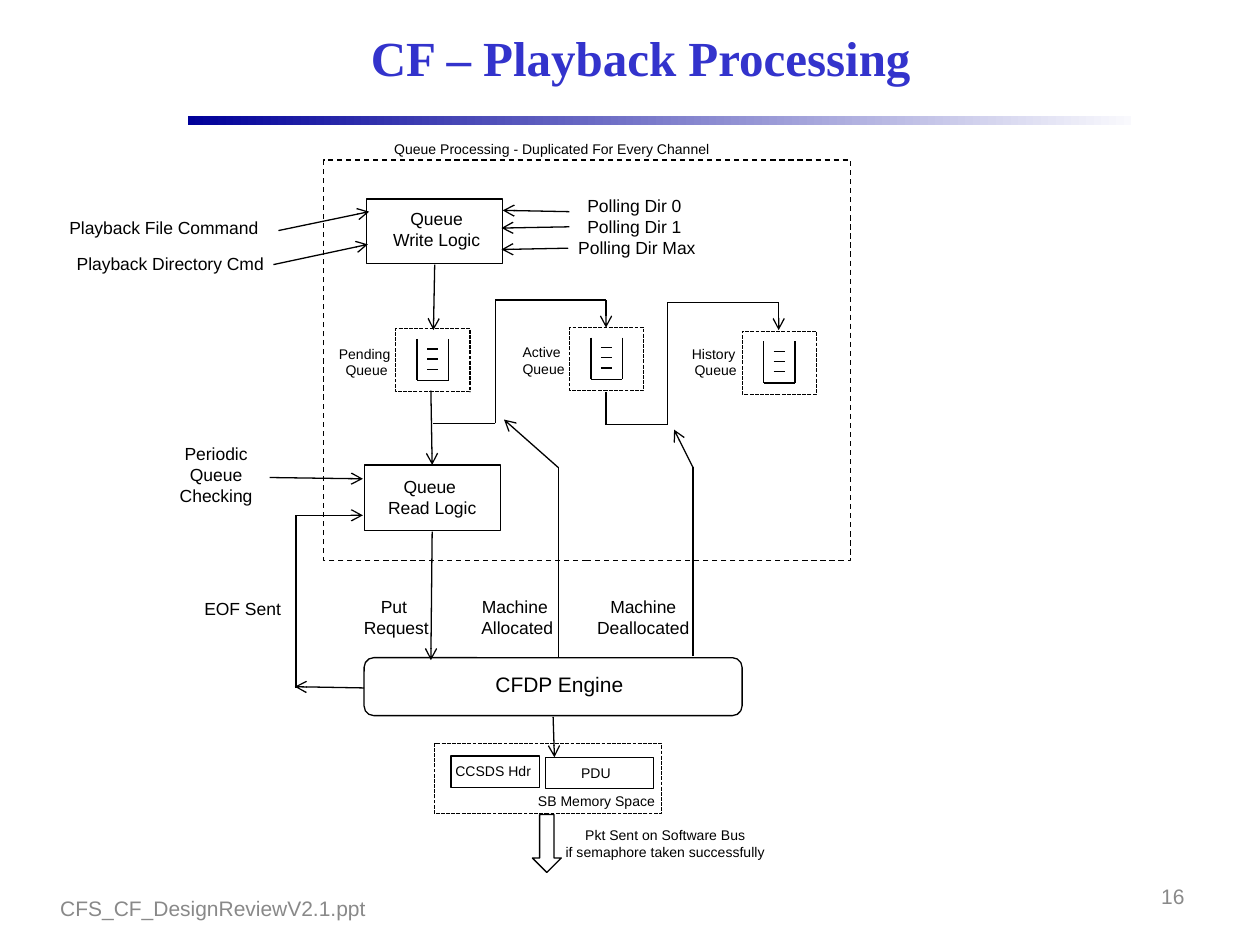
from itertools import pairwise

from pptx import Presentation
from pptx.dml.color import RGBColor
from pptx.enum.dml import MSO_LINE
from pptx.enum.shapes import MSO_CONNECTOR, MSO_SHAPE
from pptx.enum.text import MSO_ANCHOR, MSO_AUTO_SIZE, PP_ALIGN
from pptx.oxml.ns import qn
from pptx.util import Inches, Pt
from lxml.etree import SubElement

BLACK = RGBColor(0x00, 0x00, 0x00)
GREY = RGBColor(0x89, 0x89, 0x89)
TITLE_BLUE = RGBColor(0x33, 0x33, 0xCC)
BAR_DARK = RGBColor(0x00, 0x00, 0x99)
BAR_LIGHT = RGBColor(0xF9, 0xF9, 0xFD)


class Diagram:
    """Holds the drawing style and the current page."""

    font_name = "Arial"
    line_width = Pt(0.75)
    label_inset = Inches(0.04)

    def __init__(self, page):
        self.page = page

    def style(self, para, size, color, align, name=font_name, bold=False):
        para.alignment = align
        para.font.name = name
        para.font.size = Pt(size)
        para.font.bold = bold
        para.font.color.rgb = color

    def title(self, text, left, top, width, height):
        box = self.page.shapes.title
        box.left, box.top = Inches(left), Inches(top)
        box.width, box.height = Inches(width), Inches(height)
        box.text_frame.text = text
        box.text_frame.vertical_anchor = MSO_ANCHOR.MIDDLE
        self.style(box.text_frame.paragraphs[0], 28, TITLE_BLUE,
                   PP_ALIGN.CENTER, "Times New Roman", True)

    def gradient_bar(self, left, top, width, height):
        bar = self.shape(MSO_SHAPE.RECTANGLE, left, top, width, height)
        bar.line.fill.background()
        bar.fill.gradient()
        bar.fill.gradient_angle = 180
        for stop, color in zip(bar.fill.gradient_stops, (BAR_LIGHT, BAR_DARK)):
            stop.color.rgb = color

    def shape(self, kind, left, top, width, height, dash=None):
        outline = self.page.shapes.add_shape(
            kind, Inches(left), Inches(top), Inches(width), Inches(height))
        outline.shadow.inherit = False
        outline.fill.background()
        outline.line.color.rgb = BLACK
        outline.line.width = self.line_width
        if dash:
            outline.line.dash_style = dash
        return outline

    def text(self, text, left, top, width, height, size=10, color=BLACK,
             align=PP_ALIGN.CENTER, wrap=False, anchor=MSO_ANCHOR.TOP):
        box = self.page.shapes.add_textbox(
            Inches(left), Inches(top), Inches(width), Inches(height))
        frame = box.text_frame
        frame.text = text
        frame.word_wrap = wrap
        frame.vertical_anchor = anchor
        if align == PP_ALIGN.CENTER:
            # Narrow side insets leave each label room for its longest line
            frame.margin_left = frame.margin_right = self.label_inset
        for para in frame.paragraphs:
            self.style(para, size, color, align)
        frame.auto_size = MSO_AUTO_SIZE.NONE

    def line(self, start, end, arrow=False):
        connector = self.page.shapes.add_connector(
            MSO_CONNECTOR.STRAIGHT, *map(Inches, (*start, *end)))
        connector.line.color.rgb = BLACK
        connector.line.width = self.line_width
        properties = connector.element.spPr
        if arrow:
            SubElement(properties.find(qn("a:ln")), qn("a:tailEnd"), type="arrow")
        SubElement(properties, qn("a:effectLst"))

    def route(self, *points):
        """Joins the points with lines and ends in an arrowhead."""
        for start, end in pairwise(points):
            self.line(start, end, arrow=end == points[-1])

    def queue(self, left, top):
        """A dashed frame around an open bin with three entries."""
        self.shape(MSO_SHAPE.RECTANGLE, left, top, 0.59, 0.5, MSO_LINE.SQUARE_DOT)
        rim, floor = top + 0.08, top + 0.41
        sides = (left + 0.17, left + 0.42)
        for side in sides:
            self.line((side, rim), (side, floor))
        self.line((sides[0], floor), (sides[1], floor))
        for row in range(3):
            level = top + 0.16 + row * 0.08
            self.line((left + 0.25, level), (left + 0.34, level))


def main():
    deck = Presentation()
    deck.slide_width, deck.slide_height = Inches(10), Inches(7.5)
    diagram = Diagram(deck.slides.add_slide(deck.slide_layouts[5]))

    # Heading
    diagram.gradient_bar(1.49, 0.92, 7.49, 0.07)
    diagram.title("CF – Playback Processing", 1.5, 0.08, 7.17, 0.75)

    # Solid and dashed blocks
    for kind, left, top, width, height, dash in (
        (MSO_SHAPE.RECTANGLE, 2.57, 1.27, 4.18, 3.18, MSO_LINE.DASH),
        (MSO_SHAPE.RECTANGLE, 2.91, 1.58, 1.08, 0.51, None),
        (MSO_SHAPE.RECTANGLE, 2.89, 3.69, 1.08, 0.52, None),
        (MSO_SHAPE.ROUNDED_RECTANGLE, 2.89, 5.22, 3, 0.46, None),
        (MSO_SHAPE.RECTANGLE, 3.45, 5.9, 1.8, 0.56, MSO_LINE.SQUARE_DOT),
        (MSO_SHAPE.RECTANGLE, 3.58, 6, 0.7, 0.25, None),
        (MSO_SHAPE.RECTANGLE, 4.33, 6.01, 0.86, 0.25, None),
    ):
        diagram.shape(kind, left, top, width, height, dash)
    bus_arrow = diagram.shape(MSO_SHAPE.RIGHT_ARROW, 4.11, 6.58, 0.46, 0.23)
    bus_arrow.rotation = 90

    # Pending, active and history queues
    for left, top in ((3.14, 2.61), (4.52, 2.6), (5.89, 2.63)):
        diagram.queue(left, top)

    # Arrows
    for points in (
        ((2.21, 1.83), (2.93, 1.68)),
        ((2.17, 2.1), (2.92, 1.94)),
        ((4.52, 1.68), (3.99, 1.67)),
        ((4.52, 1.8), (3.98, 1.81)),
        ((4.51, 1.97), (3.98, 1.98)),
        ((3.45, 2.1), (3.44, 2.62)),
        ((3.42, 3.1), (3.43, 3.69)),
        ((3.44, 3.36), (3.93, 3.36), (3.93, 2.38), (4.81, 2.38), (4.81, 2.6)),
        ((4.81, 3.11), (4.81, 3.37), (5.3, 3.37), (5.3, 2.4), (6.18, 2.4),
         (6.18, 2.62)),
        ((2.14, 3.79), (2.88, 3.8)),
        ((2.89, 5.46), (2.34, 5.45)),
        ((2.35, 5.46), (2.35, 4.09), (2.88, 4.09)),
        ((3.43, 4.22), (3.42, 5.24)),
        ((4.43, 5.22), (4.43, 3.71), (4, 3.33)),
        ((5.5, 5.21), (5.5, 3.71), (5.35, 3.41)),
        ((4.39, 5.69), (4.4, 6.01)),
    ):
        diagram.route(*points)

    # Main labels
    for text, left, top, width, height in (
        ("Playback File Command", 0.45, 1.67, 1.7, 0.27),
        ("Playback Directory Cmd", 0.51, 1.96, 1.68, 0.27),
        ("Queue\nWrite Logic", 2.94, 1.6, 1.05, 0.44),
        ("Polling Dir 0\nPolling Dir 1\n Polling Dir Max", 4.45, 1.5, 1.17, 0.6),
        ("Periodic\nQueue\nChecking", 1.33, 3.47, 0.77, 0.6),
        ("Queue \nRead Logic", 2.98, 3.73, 0.9, 0.44),
        ("EOF Sent", 1.52, 4.7, 0.81, 0.27),
        ("Put \nRequest", 2.79, 4.68, 0.71, 0.44),
        ("Machine \nAllocated", 3.72, 4.68, 0.77, 0.44),
        ("Machine\nDeallocated", 4.64, 4.68, 0.93, 0.44),
    ):
        diagram.text(text, left, top, width, height)
    diagram.text("CFDP Engine", 3.83, 5.28, 1.22, 0.3, size=12)

    # Small labels
    for text, left, top, width, height in (
        ("Pending \nQueue", 2.59, 2.69, 0.64, 0.37),
        ("Active \nQueue", 4.05, 2.68, 0.53, 0.37),
        ("History \nQueue", 5.39, 2.69, 0.58, 0.37),
        ("CCSDS Hdr", 3.48, 6, 0.87, 0.24),
        ("PDU", 4.48, 6.02, 0.5, 0.24),
        ("SB Memory Space", 4.17, 6.24, 1.13, 0.24),
        ("Pkt Sent on Software Bus\nif semaphore taken successfully",
         4.39, 6.51, 1.78, 0.37),
    ):
        diagram.text(text, left, top, width, height, size=8)
    diagram.text("Queue Processing - Duplicated For Every Channel",
                 3.03, 1.07, 3.07, 0.24, size=8, align=PP_ALIGN.LEFT, wrap=True)

    # Footer
    diagram.text("CFS_CF_DesignReviewV2.1.ppt", 0.38, 7.1, 6.33, 0.22, 12, GREY,
                 PP_ALIGN.LEFT, True, MSO_ANCHOR.MIDDLE)
    diagram.text("16", 7.17, 6.91, 2.33, 0.4, 12, GREY,
                 PP_ALIGN.RIGHT, True, MSO_ANCHOR.MIDDLE)

    deck.save("out.pptx")


if __name__ == "__main__":
    main()
